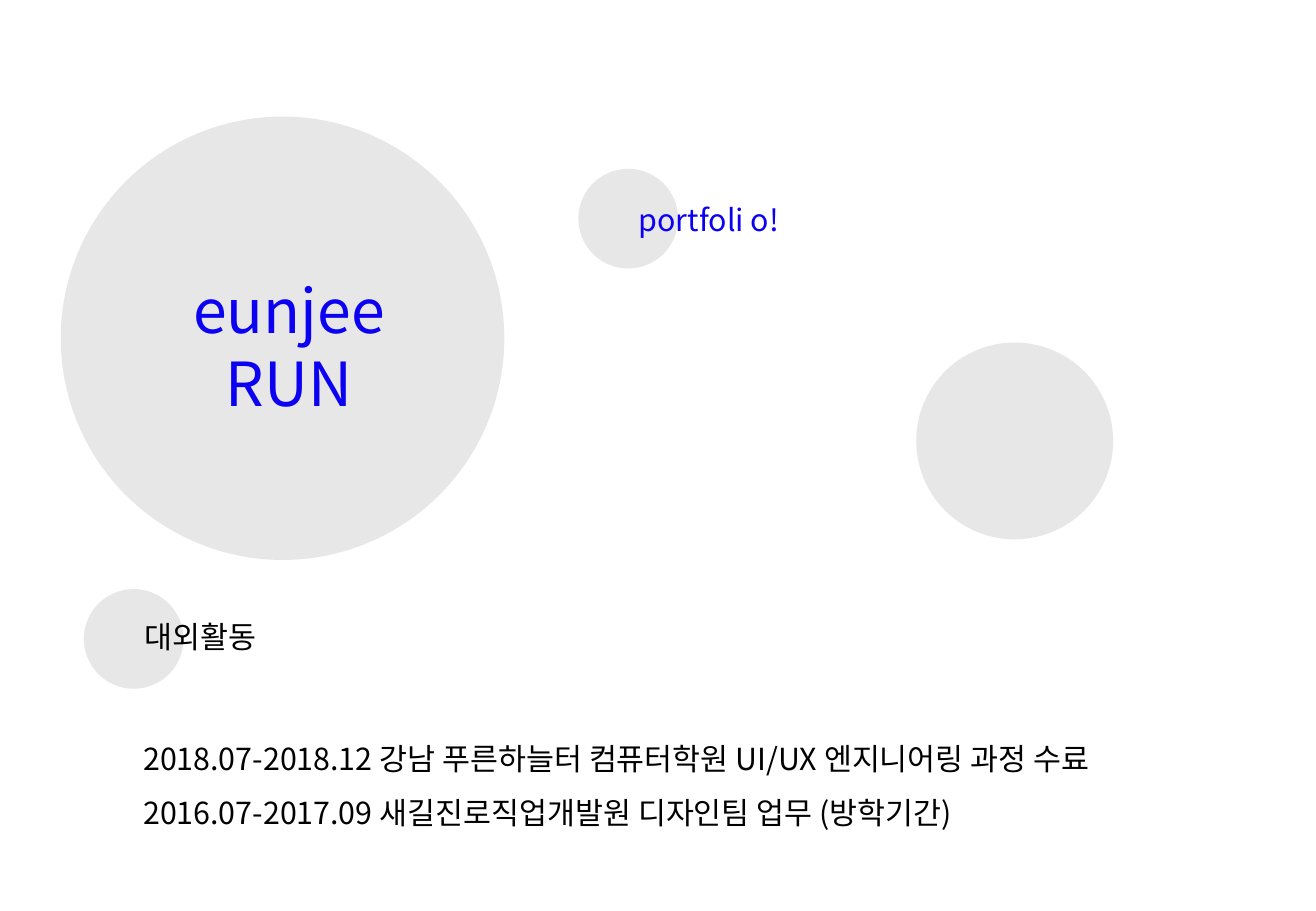
import pptx
import pptx.dml.color
import pptx.enum.shapes
import pptx.enum.text
import pptx.oxml.ns
import pptx.util
from lxml import etree

Inches = pptx.util.Inches
ALIGN = pptx.enum.text.PP_ALIGN

BLUE = pptx.dml.color.RGBColor(0x0C, 0x00, 0xF2)
BLACK = pptx.dml.color.RGBColor(0x00, 0x00, 0x00)
GREY = pptx.dml.color.RGBColor(0xD9, 0xD9, 0xD9)
FONT = "Noto Sans CJK KR"


def write_text(paragraph, text, size=18, color=BLACK, align=ALIGN.LEFT, spacing=None):
    paragraph.alignment = align
    paragraph.line_spacing = spacing
    run = paragraph.add_run()
    run.text = text
    run.font.size = pptx.util.Pt(size)
    run.font.color.rgb = color
    run.font.name = FONT
    # Korean letters take the East Asian typeface
    east_asian = etree.SubElement(run.font._element, pptx.oxml.ns.qn("a:ea"))
    east_asian.set("typeface", FONT)


class PortfolioSlide:
    def __init__(self, presentation):
        self.slide = presentation.slides.add_slide(presentation.slide_layouts[6])
        self.circle_color = GREY
        self.circle_opacity = 62

    def circle(self, left, top, diameter):
        disc = self.slide.shapes.add_shape(
            pptx.enum.shapes.MSO_SHAPE.OVAL,
            Inches(left), Inches(top), Inches(diameter), Inches(diameter))
        disc.shadow.inherit = False
        disc.line.fill.background()
        disc.fill.solid()
        disc.fill.fore_color.rgb = self.circle_color
        color = disc.fill._xPr.find(".//" + pptx.oxml.ns.qn("a:srgbClr"))
        alpha = etree.SubElement(color, pptx.oxml.ns.qn("a:alpha"))
        alpha.set("val", str(self.circle_opacity * 1000))

    def text(self, left, top, width, height, lines, wrap=True, **style):
        frame = self.slide.shapes.add_textbox(
            Inches(left), Inches(top), Inches(width), Inches(height)).text_frame
        frame.word_wrap = wrap
        frame.auto_size = pptx.enum.text.MSO_AUTO_SIZE.SHAPE_TO_FIT_TEXT
        for index, line in enumerate(lines):
            paragraph = frame.add_paragraph() if index else frame.paragraphs[0]
            write_text(paragraph, line, **style)


def main():
    presentation = pptx.Presentation()
    presentation.slide_width = Inches(10.83)
    presentation.slide_height = Inches(7.5)
    cover = PortfolioSlide(presentation)
    title_style = {"wrap": False, "color": BLUE, "align": ALIGN.CENTER}

    # Name
    cover.circle(0.5, 0.96, 3.65)
    cover.text(1.48, 2.2, 1.8, 1.31, ["eunjee", "RUN"], size=36, **title_style)

    # Activities
    cover.circle(0.69, 4.85, 0.82)
    cover.text(1.09, 5.04, 1.73, 0.4, ["대외활동"])
    activities = [
        "2018.07-2018.12 강남 푸른하늘터 컴퓨터학원 UI/UX 엔지니어링 과정 수료",
        "2016.07-2017.09 새길진로직업개발원 디자인팀 업무 (방학기간)",
    ]
    cover.text(1.08, 5.89, 9.69, 1.31, activities, spacing=1.5)

    # Portfolio label
    cover.circle(4.76, 1.39, 0.82)
    cover.text(5.15, 1.61, 1.37, 0.4, ["portfoli o!"], **title_style)

    # Lone circle on the right
    cover.circle(7.54, 2.82, 1.62)

    presentation.save("out.pptx")


if __name__ == "__main__":
    main()
